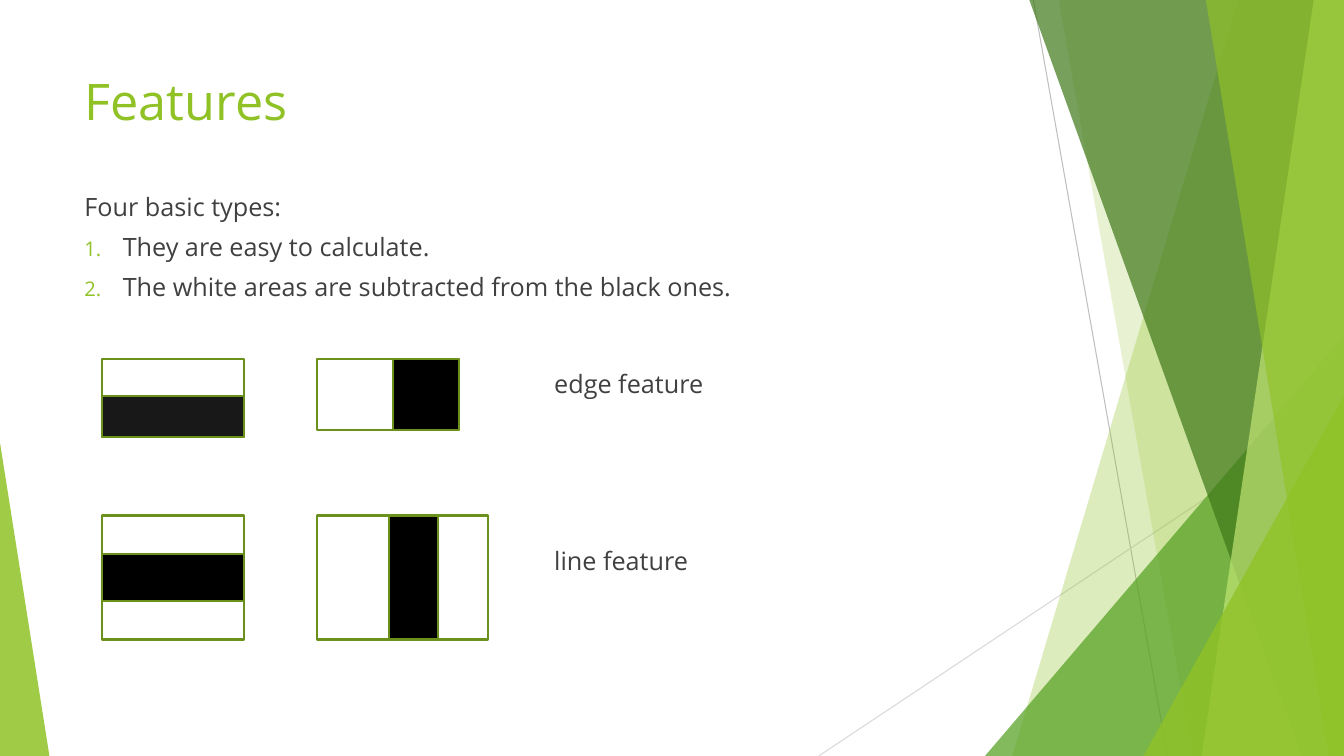
from dataclasses import dataclass

from lxml.etree import SubElement
from pptx import Presentation
from pptx.dml.color import RGBColor
from pptx.enum.shapes import MSO_CONNECTOR, MSO_SHAPE
from pptx.oxml.ns import qn
from pptx.shapes.autoshape import Shape
from pptx.slide import Slide
from pptx.text.text import _Paragraph
from pptx.util import Inches, Length, Pt

SLIDE_WIDTH = Inches(13.33)
SLIDE_HEIGHT = Inches(7.5)
FONT = "Open Sans"

LIME = RGBColor(0x90, 0xC2, 0x26)
GREEN = RGBColor(0x54, 0xA0, 0x21)
FOREST = RGBColor(0x3F, 0x78, 0x19)
PALE_LIME = RGBColor(0xC0, 0xE4, 0x74)
OUTLINE = RGBColor(0x6B, 0x90, 0x1C)
TEXT = RGBColor(0x40, 0x40, 0x40)
WHITE = RGBColor(0xFF, 0xFF, 0xFF)
BLACK = RGBColor(0x00, 0x00, 0x00)
NEAR_BLACK = RGBColor(0x18, 0x18, 0x18)
GREY = RGBColor(0xBF, 0xBF, 0xBF)
LIGHT_GREY = RGBColor(0xD9, 0xD9, 0xD9)


# All positions and sizes are percentages of the slide
def across(share: float) -> Length:
    return Length(round(SLIDE_WIDTH * share / 100))


def down(share: float) -> Length:
    return Length(round(SLIDE_HEIGHT * share / 100))


@dataclass(frozen=True)
class Ray:
    start: tuple[float, float]
    end: tuple[float, float]
    colour: RGBColor


@dataclass(frozen=True)
class Facet:
    """A full-height pane that reaches the right edge."""
    top_x: float
    bottom_x: float
    colour: RGBColor
    opacity: int


@dataclass(frozen=True)
class Corner:
    """A right triangle standing on the bottom edge."""
    left: float
    top: float
    width: float
    apex: float
    colour: RGBColor
    opacity: int


@dataclass(frozen=True)
class Feature:
    """A white box with a dark band; start and size are shares of the box."""
    left: float
    top: float
    width: float
    height: float
    upright: bool
    band_start: float
    band_size: float
    band_colour: RGBColor = BLACK


@dataclass(frozen=True)
class Label:
    text: str
    left: float
    top: float
    width: float
    height: float
    size: int = 18
    colour: RGBColor = TEXT


RAYS = [
    Ray((76.89, 0), (86.87, 100), GREY),
    Ray((100, 53.73), (60.92, 100), LIGHT_GREY),
]
BACKDROP = [
    Facet(92.12, 75.32, LIME, 30),
    Facet(78.77, 88.75, LIME, 20),
    Corner(73.29, 44.4, 26.71, 1, GREEN, 72),
    Facet(76.59, 96.85, FOREST, 70),
    Facet(97.75, 89.42, PALE_LIME, 70),
    Facet(89.72, 98.87, LIME, 65),
    Corner(85.07, 52.4, 14.93, 1, LIME, 80),
    Corner(0, 58.53, 3.68, 0, LIME, 85),
]

FIRST_COLUMN, SECOND_COLUMN = 7.58, 23.56
EDGE_ROW, LINE_ROW = 47.47, 68.2
FEATURES = [
    Feature(FIRST_COLUMN, EDGE_ROW, 10.58, 10.4, False, 0.47, 0.53, NEAR_BLACK),
    Feature(SECOND_COLUMN, EDGE_ROW, 10.58, 9.47, True, 0.54, 0.46),
    Feature(FIRST_COLUMN, LINE_ROW, 10.58, 16.4, False, 0.31, 0.38),
    Feature(SECOND_COLUMN, LINE_ROW, 12.75, 16.4, True, 0.42, 0.29),
]

TITLE = Label("Features", 5.55, 8.67, 70.5, 11, 36, LIME)
INTRO = Label("Four basic types:", 5.55, 24.6, 70.5, 19)
POINTS = [
    "They are easy to calculate.",
    "The white areas are subtracted from the black ones.",
]
FEATURE_NAMES = [
    Label("edge feature", 40.5, 48.1, 18, 6),
    Label("line feature", 40.5, 71.5, 18, 6),
]


def fill_plain(shape: Shape, colour: RGBColor, opacity: int = 100) -> None:
    shape.shadow.inherit = False
    shape.fill.solid()
    shape.fill.fore_color.rgb = colour
    shape.line.fill.background()
    if opacity < 100:
        srgb = shape._element.spPr.find(qn("a:solidFill")).find(qn("a:srgbClr"))
        SubElement(srgb, qn("a:alpha"), val=str(opacity * 1000))


def draw_ray(slide: Slide, ray: Ray) -> None:
    (x1, y1), (x2, y2) = ray.start, ray.end
    line = slide.shapes.add_connector(
        MSO_CONNECTOR.STRAIGHT, across(x1), down(y1), across(x2), down(y2))
    line.line.color.rgb = ray.colour
    line.line.width = Pt(0.75)
    SubElement(line._element.spPr, qn("a:effectLst"))


def draw_facet(slide: Slide, facet: Facet) -> None:
    outline = slide.shapes.build_freeform(across(facet.top_x), down(0))
    outline.add_line_segments([
        (across(100), down(0)),
        (across(100), down(100)),
        (across(facet.bottom_x), down(100)),
    ])
    fill_plain(outline.convert_to_shape(), facet.colour, facet.opacity)


def draw_corner(slide: Slide, corner: Corner) -> None:
    triangle = slide.shapes.add_shape(
        MSO_SHAPE.ISOSCELES_TRIANGLE, across(corner.left), down(corner.top),
        across(corner.width), down(100 - corner.top))
    triangle.adjustments[0] = corner.apex
    fill_plain(triangle, corner.colour, corner.opacity)


def draw_box(slide: Slide, left: float, top: float, width: float,
             height: float, colour: RGBColor) -> None:
    box = slide.shapes.add_shape(
        MSO_SHAPE.RECTANGLE, across(left), down(top), across(width), down(height))
    fill_plain(box, colour)
    box.line.color.rgb = OUTLINE
    box.line.width = Pt(1.5)


def draw_feature(slide: Slide, feature: Feature) -> None:
    left, top, width, height = feature.left, feature.top, feature.width, feature.height
    draw_box(slide, left, top, width, height, WHITE)
    if feature.upright:
        left, width = left + width * feature.band_start, width * feature.band_size
    else:
        top, height = top + height * feature.band_start, height * feature.band_size
    draw_box(slide, left, top, width, height, feature.band_colour)


def write(paragraph: _Paragraph, text: str, size: int, colour: RGBColor) -> None:
    paragraph.text = text
    paragraph.font.name = FONT
    paragraph.font.size = Pt(size)
    paragraph.font.color.rgb = colour


def draw_label(slide: Slide, label: Label) -> Shape:
    box = slide.shapes.add_textbox(
        across(label.left), down(label.top), across(label.width), down(label.height))
    box.text_frame.word_wrap = True
    write(box.text_frame.paragraphs[0], label.text, label.size, label.colour)
    return box


def add_numbered_point(box: Shape, text: str) -> None:
    point = box.text_frame.add_paragraph()
    write(point, text, INTRO.size, INTRO.colour)
    point.space_before = Pt(7)
    properties = point._p.get_or_add_pPr()
    indent = across(2.85)
    properties.set("marL", str(indent))
    properties.set("indent", str(-indent))
    number_colour = SubElement(properties, qn("a:buClr"))
    SubElement(number_colour, qn("a:srgbClr"), val=str(LIME))
    SubElement(properties, qn("a:buSzPct"), val="80000")
    SubElement(properties, qn("a:buFont"), typeface=FONT)
    SubElement(properties, qn("a:buAutoNum"), type="arabicPeriod")
    # Run defaults come last in the paragraph properties
    defaults = properties.find(qn("a:defRPr"))
    if defaults is not None:
        properties.append(defaults)


def main() -> None:
    deck = Presentation()
    deck.slide_width, deck.slide_height = SLIDE_WIDTH, SLIDE_HEIGHT
    slide = deck.slides.add_slide(deck.slide_layouts[6])

    # Backdrop
    for ray in RAYS:
        draw_ray(slide, ray)
    for pane in BACKDROP:
        if isinstance(pane, Facet):
            draw_facet(slide, pane)
        else:
            draw_corner(slide, pane)

    # Title and numbered points
    draw_label(slide, TITLE)
    body = draw_label(slide, INTRO)
    for point in POINTS:
        add_numbered_point(body, point)

    # Feature diagrams and their names
    for feature in FEATURES:
        draw_feature(slide, feature)
    for name in FEATURE_NAMES:
        draw_label(slide, name)

    deck.save("out.pptx")


if __name__ == "__main__":
    main()
